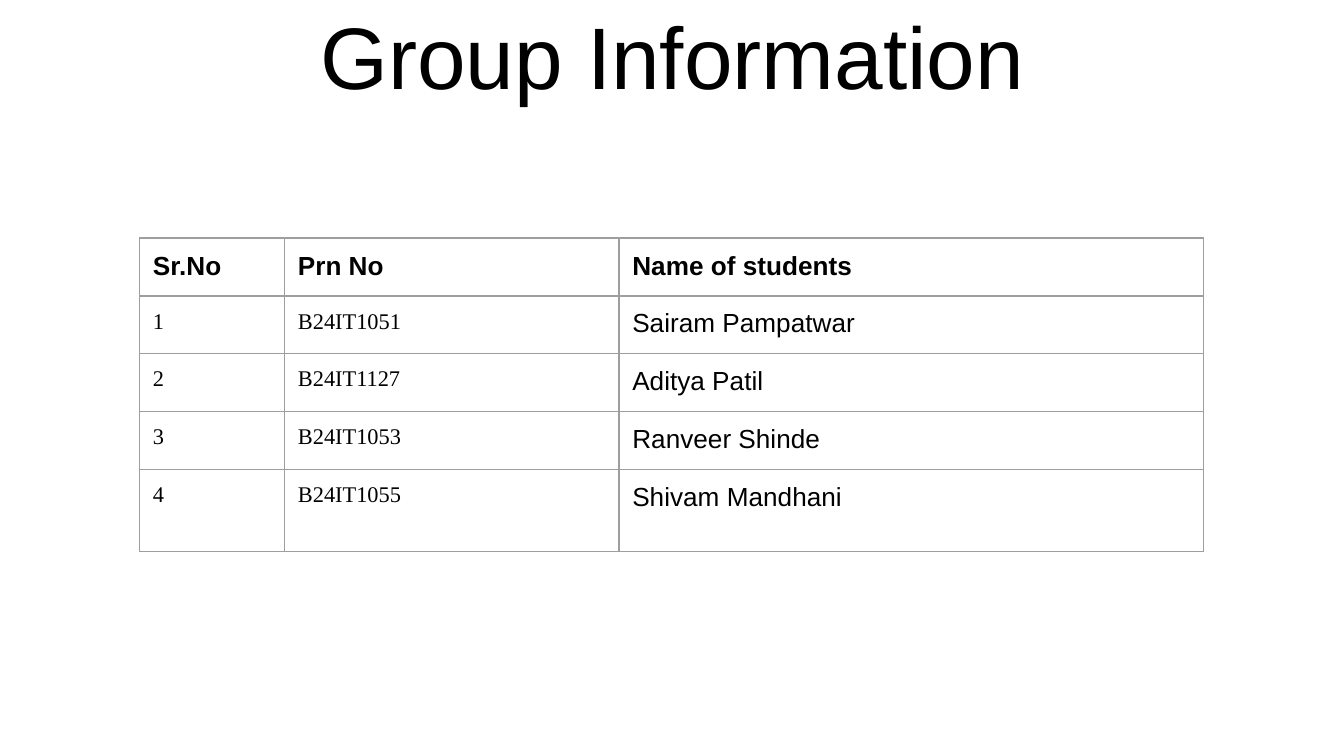
from lxml.etree import SubElement
from pptx import Presentation
from pptx.dml.color import RGBColor
from pptx.enum.text import MSO_ANCHOR, PP_ALIGN
from pptx.oxml.ns import qn
from pptx.util import Cm, Pt

BLACK = RGBColor(0x00, 0x00, 0x00)
GREY = RGBColor(0x9E, 0x9E, 0x9E)
INSET = Cm(0.25)
COLUMN_WIDTHS = [Cm(2.74), Cm(6.32), Cm(11.05)]
ROW_HEIGHTS = [Cm(1.02)] * 4 + [Cm(1.55)]
HEADINGS = ["Sr.No", "Prn No", "Name of students"]
STUDENTS = [
    ("B24IT1051", "Sairam Pampatwar"),
    ("B24IT1127", "Aditya Patil"),
    ("B24IT1053", "Ranveer Shinde"),
    ("B24IT1055", "Shivam Mandhani"),
]


def write_text(frame, text, *, size, font="Arial", bold=False, align=PP_ALIGN.LEFT):
    """Write one formatted paragraph into a text frame."""
    para = frame.paragraphs[0]
    para.alignment = align
    span = para.add_run()
    span.text = text
    span.font.size = Pt(size)
    span.font.name = font
    span.font.bold = bold
    span.font.color.rgb = BLACK


def set_insets(holder):
    """Give a text frame or a table cell the same margin on every side."""
    holder.margin_left = holder.margin_right = INSET
    holder.margin_top = holder.margin_bottom = INSET


def set_borders(cell):
    """Draw a thin grey line on each side of a cell."""
    properties = cell._tc.get_or_add_tcPr()
    for position, side in enumerate(("a:lnL", "a:lnR", "a:lnT", "a:lnB")):
        line = properties.makeelement(qn(side), {"w": str(Pt(0.75))})
        properties.insert(position, line)
        fill = SubElement(line, qn("a:solidFill"))
        SubElement(fill, qn("a:srgbClr"), val=str(GREY))


def add_title(page, left, top, width, height):
    """Place the centred slide title."""
    box = page.shapes.add_textbox(left, top, width, height)
    frame = box.text_frame
    frame.word_wrap = True
    frame.vertical_anchor = MSO_ANCHOR.BOTTOM
    set_insets(frame)
    write_text(frame, "Group Information", size=46.8, align=PP_ALIGN.CENTER)


def add_student_table(page, left, top):
    """Place the table of numbered students."""
    rows = [HEADINGS]
    rows += [(str(number), *student) for number, student in enumerate(STUDENTS, 1)]
    table = page.shapes.add_table(
        len(rows), len(HEADINGS), left, top, sum(COLUMN_WIDTHS), sum(ROW_HEIGHTS)
    ).table
    table.first_row = table.horz_banding = False
    for column, width in zip(table.columns, COLUMN_WIDTHS):
        column.width = width
    for row, height in zip(table.rows, ROW_HEIGHTS):
        row.height = height
    for row_index, values in enumerate(rows):
        heading = row_index == 0
        for column_index, value in enumerate(values):
            cell = table.cell(row_index, column_index)
            cell.fill.background()
            set_insets(cell)
            set_borders(cell)
            if heading or column_index == 2:
                write_text(cell.text_frame, value, size=14, bold=heading)
            else:
                write_text(cell.text_frame, value, size=12, font="Times New Roman")


def main():
    """Build and save the deck."""
    deck = Presentation()
    deck.slide_width, deck.slide_height = Cm(25.4), Cm(14.29)
    page = deck.slides.add_slide(deck.slide_layouts[6])
    add_title(page, Cm(0.87), Cm(0.43), Cm(23.67), Cm(1.85))
    add_student_table(page, Cm(2.64), Cm(4.5))
    deck.save("out.pptx")


if __name__ == "__main__":
    main()
